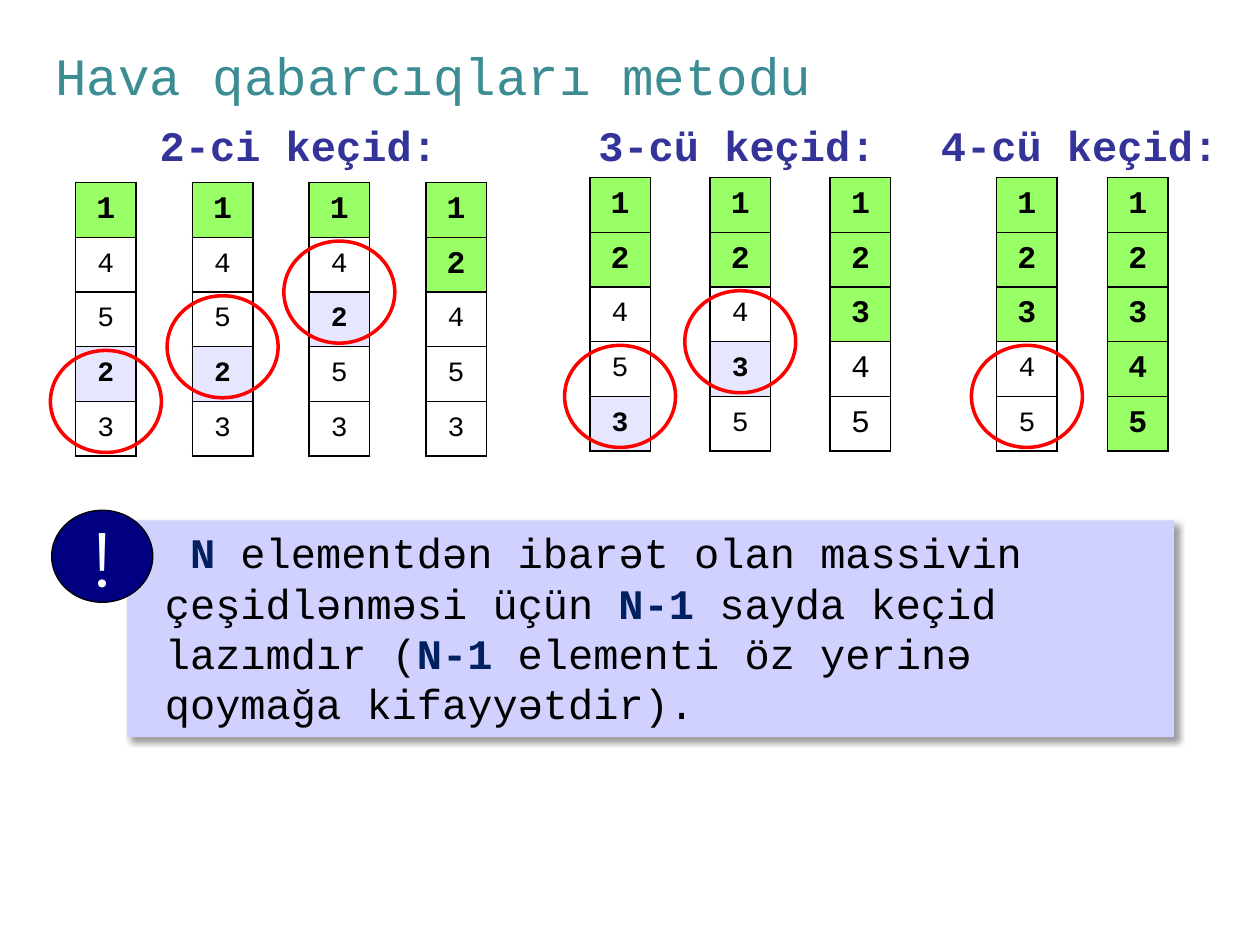
"""Build the bubble sort slide showing the second to fourth passes."""
import dataclasses

import lxml.etree
import pptx
import pptx.dml.color
import pptx.enum.shapes
import pptx.enum.text
import pptx.oxml
import pptx.oxml.ns
import pptx.util

Pt = pptx.util.Pt
SHAPE = pptx.enum.shapes.MSO_SHAPE
ALIGN = pptx.enum.text.PP_ALIGN
ANCHOR = pptx.enum.text.MSO_ANCHOR
AUTO = pptx.enum.text.MSO_AUTO_SIZE


@dataclasses.dataclass(frozen=True)
class Theme:
    font: str = "Courier New"
    mark_font: str = "Montserrat"
    title: str = "3C8C93"
    heading: str = "333399"
    ink: str = "000000"
    key: str = "002060"
    sorted: str = "99FF66"
    moving: str = "E6E6FF"
    ring: str = "FF0000"
    note: str = "D1D1FF"
    badge: str = "000080"
    white: str = "FFFFFF"
    title_size: int = 30
    body_size: int = 24
    strong_size: int = 18
    cell_size: int = 16
    mark_size: int = 44


T = Theme()

TITLE = "Hava qabarcıqları metodu"

# Each step: values, sorted count, moving row, first compared row, size of unsorted values.
PASSES = [
    {"name": "2-ci keçid:", "name_left": 84.2, "left": 43.2, "top": 104.4, "step": 66.7,
     "steps": [("14523", 1, 3, 3, T.cell_size), ("14523", 1, 3, 2, T.cell_size),
               ("14253", 1, 2, 1, T.cell_size), ("12453", 2, None, None, T.cell_size)]},
    {"name": "3-cü keçid:", "name_left": 334.8, "left": 337, "top": 101.5, "step": 68.7,
     "steps": [("12453", 2, 4, 3, T.cell_size), ("12435", 2, 3, 2, T.cell_size),
               ("12345", 3, None, None, T.strong_size)]},
    {"name": "4-cü keçid:", "name_left": 530.6, "left": 569.5, "top": 101.5, "step": 63.4,
     "steps": [("12345", 3, None, 3, T.cell_size), ("12345", 5, None, None, T.cell_size)]},
]
NOTE = [("N ", True), ("elementdən ibarət olan massivin çeşidlənməsi üçün ", False),
        ("N-1 ", True), ("sayda keçid lazımdır (", False),
        ("N-1 ", True), ("elementi öz yerinə qoymağa kifayyətdir).", False)]

CELL_W, CELL_H = 34.6, 31.25
RING_W, RING_H = 63.4, 58.3
NAME_TOP, NAME_W, NAME_H = 64.8, 177, 36


def rgb(value):
    return pptx.dml.color.RGBColor.from_string(value)


def add_text(p, text, size=T.body_size, color=T.ink, bold=False, font=T.font, align=None):
    p.alignment = align
    r = p.add_run()
    r.text = text
    r.font.size, r.font.bold, r.font.name = Pt(size), bold, font
    r.font.color.rgb = rgb(color)


def add_shape(shapes, kind, box, fill=None, line=None, width=1):
    sp = shapes.add_shape(kind, *map(Pt, box))
    sp.shadow.inherit = False
    if fill:
        sp.fill.solid()
        sp.fill.fore_color.rgb = rgb(fill)
    else:
        sp.fill.background()
    if line:
        sp.line.color.rgb = rgb(line)
        sp.line.width = Pt(width)
    else:
        sp.line.fill.background()
    return sp


def add_borders(cell):
    tc_pr = cell._tc.get_or_add_tcPr()
    for side in ("lnL", "lnR", "lnT", "lnB"):
        tc_pr.append(pptx.oxml.parse_xml(
            f'<a:{side} {pptx.oxml.ns.nsdecls("a")} w="{Pt(1)}"><a:solidFill>'
            f'<a:srgbClr val="{T.ink}"/></a:solidFill></a:{side}>'))


def add_column(s, left, top, values, done, moving, size):
    table = s.shapes.add_table(len(values), 1, Pt(left), Pt(top), Pt(CELL_W),
                               Pt(CELL_H * len(values))).table
    table.first_row = table.horz_banding = False
    for i, value in enumerate(values):
        table.rows[i].height = Pt(CELL_H)
        cell = table.cell(i, 0)
        cell.vertical_anchor = ANCHOR.MIDDLE
        add_borders(cell)
        fill = T.sorted if i < done else T.moving if i == moving else None
        if fill:
            cell.fill.solid()
            cell.fill.fore_color.rgb = rgb(fill)
        else:
            cell.fill.background()
        add_text(cell.text_frame.paragraphs[0], value, bold=bool(fill), align=ALIGN.CENTER,
                 size=T.strong_size if i < done else size)


def add_pass(s, item):
    tb = s.shapes.add_textbox(*map(Pt, (item["name_left"], NAME_TOP, NAME_W, NAME_H)))
    tb.text_frame.word_wrap = False
    tb.text_frame.vertical_anchor = ANCHOR.MIDDLE
    add_text(tb.text_frame.paragraphs[0], item["name"], color=T.heading, bold=True)
    for i, (values, done, moving, ring, size) in enumerate(item["steps"]):
        left = item["left"] + i * item["step"]
        add_column(s, left, item["top"], values, done, moving, size)
        if ring is not None:
            middle = item["top"] + (ring + 1) * CELL_H
            box = (left + (CELL_W - RING_W) / 2, middle - RING_H / 2, RING_W, RING_H)
            add_shape(s.shapes, SHAPE.OVAL, box, line=T.ring, width=2)


def add_note(s):
    group = s.shapes.add_group_shape()
    sp = add_shape(group.shapes, SHAPE.RECTANGLE, (72.7, 297.4, 598.3, 123.8), T.note)
    effects = sp._element.spPr.find(pptx.oxml.ns.qn("a:effectLst"))
    effects.append(pptx.oxml.parse_xml(
        f'<a:outerShdw {pptx.oxml.ns.nsdecls("a")} blurRad="{Pt(4)}" dist="{Pt(3)}" '
        f'dir="2700000" algn="tl" rotWithShape="0"><a:srgbClr val="{T.ink}">'
        '<a:alpha val="40000"/></a:srgbClr></a:outerShdw>'))
    tf = sp.text_frame
    tf.word_wrap, tf.auto_size = True, AUTO.SHAPE_TO_FIT_TEXT
    tf.vertical_anchor = ANCHOR.TOP
    p = tf.paragraphs[0]
    p_pr = p._p.get_or_add_pPr()
    p_pr.set("marL", str(Pt(14.4)))
    p_pr.set("indent", str(Pt(14.4)))
    for text, key in NOTE:
        add_text(p, text, color=T.key if key else T.ink, bold=key, align=ALIGN.LEFT)

    badge = add_shape(group.shapes, SHAPE.OVAL, (29.5, 291.6, 57.8, 52.6), T.badge, T.ink, 0.75)
    badge.text_frame.word_wrap = False
    badge.text_frame.vertical_anchor = ANCHOR.MIDDLE
    add_text(badge.text_frame.paragraphs[0], "!", size=T.mark_size, color=T.white,
             font=T.mark_font, align=ALIGN.CENTER)


def main():
    prs = pptx.Presentation()
    prs.slide_width, prs.slide_height = Pt(720), Pt(540)
    s = prs.slides.add_slide(prs.slide_layouts[5])
    title = s.shapes.title
    title.left, title.top, title.width, title.height = map(Pt, (24.5, 23.8, 659.5, 37.4))
    title.text_frame.auto_size = AUTO.NONE
    title.text_frame.vertical_anchor = ANCHOR.MIDDLE
    add_text(title.text_frame.paragraphs[0], TITLE, size=T.title_size, color=T.title,
             align=ALIGN.LEFT)
    for item in PASSES:
        add_pass(s, item)
    add_note(s)
    prs.save("out.pptx")


if __name__ == "__main__":
    main()
